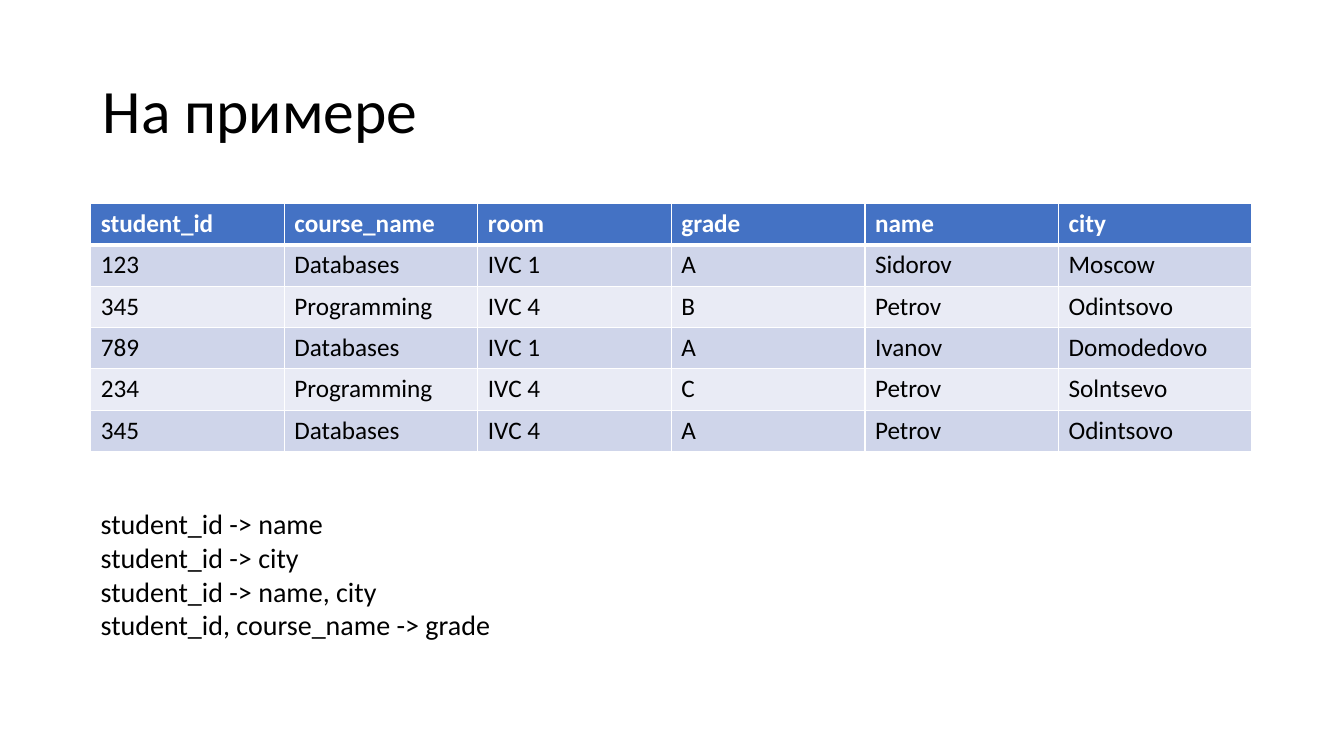
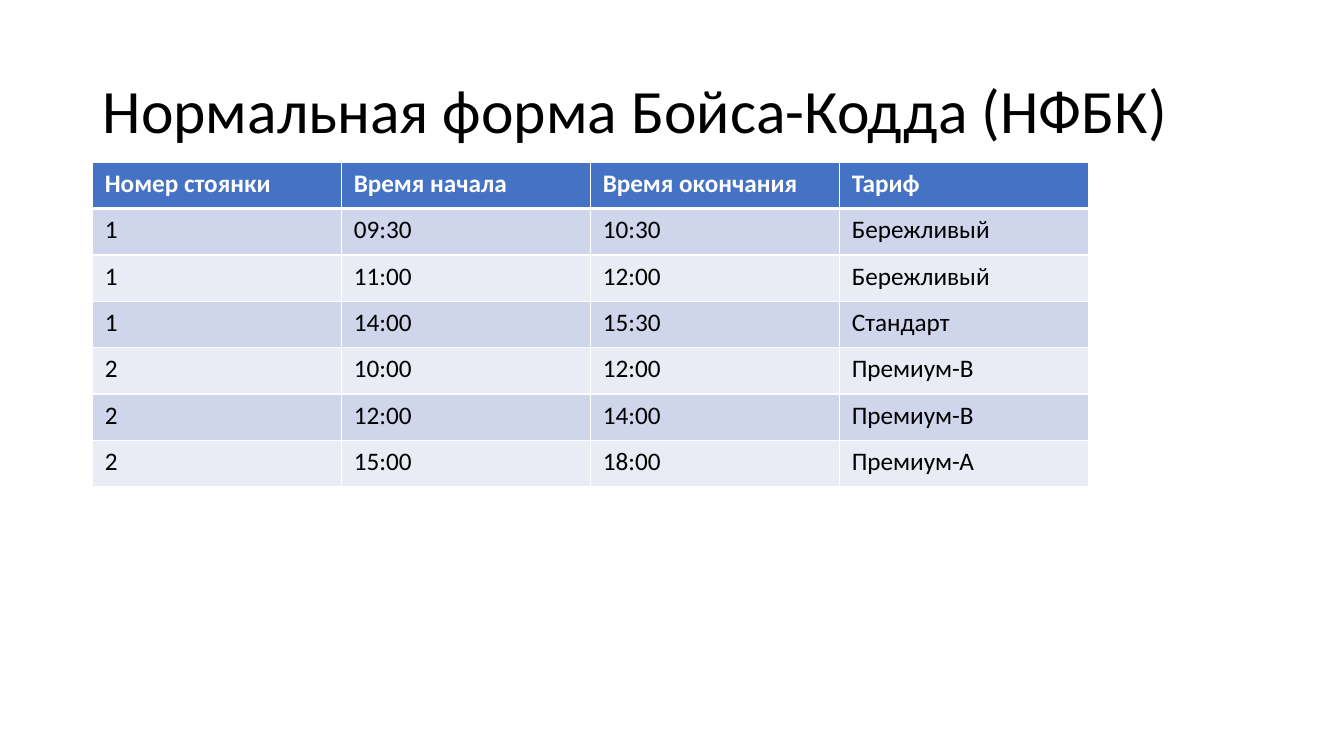
from lxml.etree import SubElement
from pptx import Presentation
from pptx.dml.color import RGBColor
from pptx.enum.text import MSO_ANCHOR, MSO_AUTO_SIZE
from pptx.oxml.ns import qn
from pptx.util import Inches, Pt

FONT = "Calibri"
BLACK = "000000"
WHITE = "FFFFFF"
HEADER_FILL = "4472C4"
BAND_FILLS = ["E9EBF5", "CFD5EA"]
THIN, THICK = 1, 3

enrolment = {
    "title": "На примере",
    "left": 0.9, "top": 2.02, "column": 1.92, "row": 0.41,
    "margins": (0.1, 0.05, 0.1, 0.05),
    "rows": [
        ["student_id", "course_name", "room", "grade", "name", "city"],
        ["123", "Databases", "IVC 1", "A", "Sidorov", "Moscow"],
        ["345", "Programming", "IVC 4", "B", "Petrov", "Odintsovo"],
        ["789", "Databases", "IVC 1", "A", "Ivanov", "Domodedovo"],
        ["234", "Programming", "IVC 4", "C", "Petrov", "Solntsevo"],
        ["345", "Databases", "IVC 4", "A", "Petrov", "Odintsovo"],
    ],
    "dependencies": [
        "student_id -> name",
        "student_id -> city",
        "student_id -> name, city",
        "student_id, course_name -> grade",
    ],
}
parking = {
    "title": "Нормальная форма Бойса-Кодда (НФБК)",
    "left": 0.92, "top": 1.61, "column": 2.47, "row": 0.46,
    "margins": (0.12, 0.06, 0.12, 0.09),
    "rows": [
        ["Номер стоянки", "Время начала", "Время окончания", "Тариф"],
        ["1", "09:30", "10:30", "Бережливый"],
        ["1", "11:00", "12:00", "Бережливый"],
        ["1", "14:00", "15:30", "Стандарт"],
        ["2", "10:00", "12:00", "Премиум-В"],
        ["2", "12:00", "14:00", "Премиум-В"],
        ["2", "15:00", "18:00", "Премиум-А"],
    ],
    "dependencies": [],
}


def write(frame, text, size, color=BLACK, bold=False):
    """Fill a text frame, one paragraph per line, in a single style."""
    frame.word_wrap = True
    frame.text = text
    for paragraph in frame.paragraphs:
        for run in paragraph.runs:
            run.font.name = FONT
            run.font.size = Pt(size)
            run.font.bold = bold
            run.font.color.rgb = RGBColor.from_string(color)


def style_cell(cell, fill, top, bottom):
    """Set the fill and white borders; top and bottom are widths in points."""
    properties = cell._tc.get_or_add_tcPr()
    for side, width in (("L", THIN), ("R", THIN), ("T", top), ("B", bottom)):
        line = SubElement(properties, qn(f"a:ln{side}"), w=str(Pt(width)))
        solid = SubElement(line, qn("a:solidFill"))
        SubElement(solid, qn("a:srgbClr"), val=WHITE)
    cell.fill.solid()
    cell.fill.fore_color.rgb = RGBColor.from_string(fill)


prs = Presentation()
prs.slide_width = Inches(13.33)
prs.slide_height = Inches(7.5)

for content in (enrolment, parking):
    slide = prs.slides.add_slide(prs.slide_layouts[6])

    title = slide.shapes.add_textbox(
        Inches(0.92), Inches(0.4), Inches(11.5), Inches(1.45)).text_frame
    write(title, content["title"], 44)
    title.vertical_anchor = MSO_ANCHOR.MIDDLE
    title.paragraphs[0].line_spacing = 0.9

    rows = content["rows"]
    column_count = len(rows[0])
    table = slide.shapes.add_table(
        len(rows), column_count, Inches(content["left"]), Inches(content["top"]),
        Inches(content["column"] * column_count),
        Inches(content["row"] * len(rows))).table
    for r, values in enumerate(rows):
        is_header = r == 0
        for c, value in enumerate(values):
            cell = table.cell(r, c)
            (cell.margin_left, cell.margin_top, cell.margin_right,
             cell.margin_bottom) = map(Inches, content["margins"])
            write(cell.text_frame, value, 18,
                  WHITE if is_header else BLACK, is_header)
            style_cell(cell, HEADER_FILL if is_header else BAND_FILLS[r % 2],
                       top=THICK if r == 1 else THIN,
                       bottom=THICK if is_header else THIN)

    if content["dependencies"]:
        dependencies = slide.shapes.add_textbox(
            Inches(0.9), Inches(4.98), Inches(5.75), Inches(1.45)).text_frame
        write(dependencies, "\n".join(content["dependencies"]), 20)
        dependencies.auto_size = MSO_AUTO_SIZE.SHAPE_TO_FIT_TEXT

prs.save("out.pptx")
